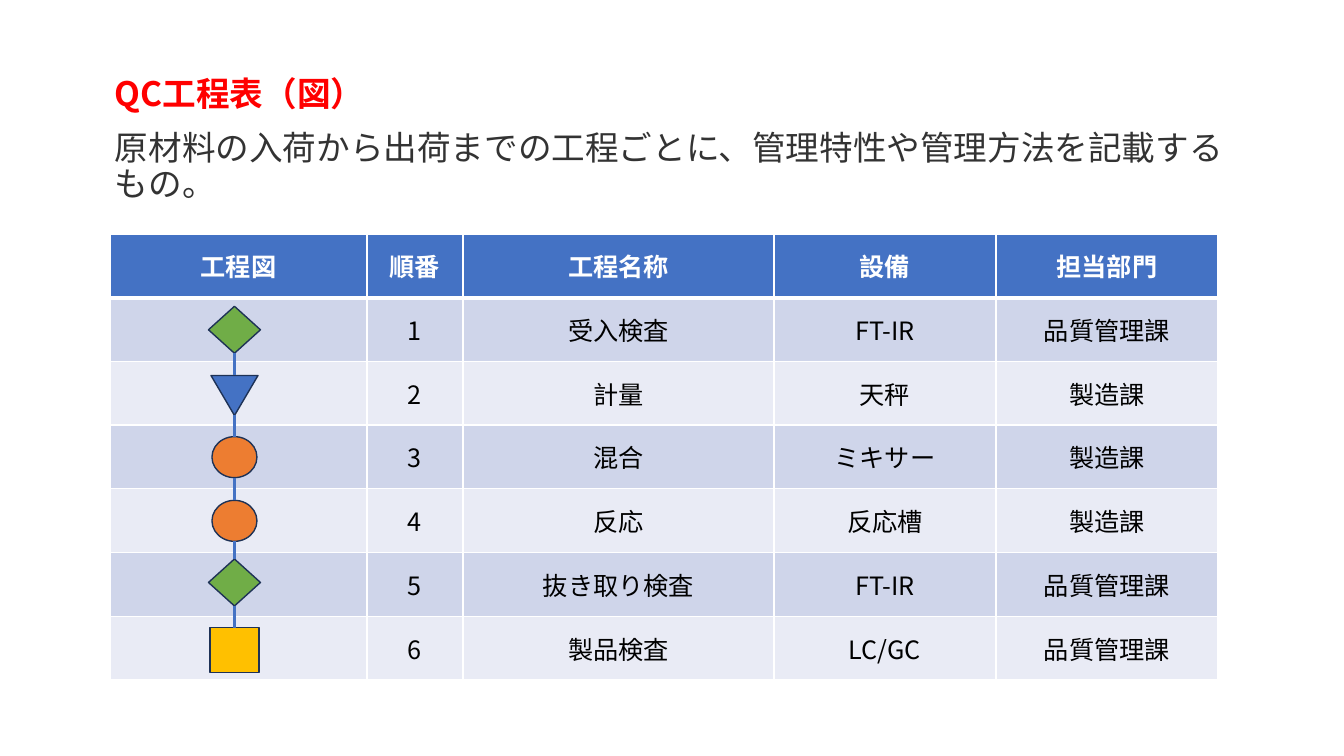
import itertools

import pptx
import pptx.dml.color
import pptx.enum.shapes
import pptx.enum.text
import pptx.oxml
import pptx.oxml.ns
import pptx.util

RGBColor = pptx.dml.color.RGBColor
SHAPE = pptx.enum.shapes.MSO_SHAPE
Pt = pptx.util.Pt

SLIDE_WIDTH, SLIDE_HEIGHT = 1344, 756
SCALE = pptx.util.Inches(1) / 100.8

RED = RGBColor(0xFF, 0x00, 0x00)
GRAY = RGBColor(0x33, 0x33, 0x33)
WHITE = RGBColor(0xFF, 0xFF, 0xFF)
BLACK = RGBColor(0x00, 0x00, 0x00)
BLUE = RGBColor(0x44, 0x72, 0xC4)
GREEN = RGBColor(0x70, 0xAD, 0x47)
ORANGE = RGBColor(0xED, 0x7D, 0x31)
YELLOW = RGBColor(0xFF, 0xC0, 0x00)
NAVY = RGBColor(0x1E, 0x32, 0x56)
BAND_DARK = RGBColor(0xCF, 0xD5, 0xEA)
BAND_LIGHT = RGBColor(0xE9, 0xEB, 0xF5)

JAPANESE_FONT = "Noto Sans CJK JP"
COLUMN_WIDTHS = [257, 96, 311, 222, 222]
HEADERS = ["工程図", "順番", "工程名称", "設備", "担当部門"]
PROCESSES = [
    ("受入検査", "FT-IR", "品質管理課"),
    ("計量", "天秤", "製造課"),
    ("混合", "ミキサー", "製造課"),
    ("反応", "反応槽", "製造課"),
    ("抜き取り検査", "FT-IR", "品質管理課"),
    ("製品検査", "LC/GC", "品質管理課"),
]
INSPECTION = (SHAPE.DIAMOND, GREEN, 52, 47, 0)
WEIGHING = (SHAPE.ISOSCELES_TRIANGLE, BLUE, 47, 40, 180)
OPERATION = (SHAPE.OVAL, ORANGE, 45, 41, 0)
FINAL_CHECK = (SHAPE.RECTANGLE, YELLOW, 49, 45, 0)
FLOW = [
    (INSPECTION, 0),
    (WEIGHING, 2),
    (OPERATION, 0),
    (OPERATION, 0),
    (INSPECTION, -2),
    (FINAL_CHECK, 2),
]


def px(length):
    """Turn a length in px into EMU."""
    return pptx.util.Emu(round(length * SCALE))


def add_run(para, text, size, color, bold=False, font=JAPANESE_FONT):
    """Add one styled run to a paragraph."""
    span = para.add_run()
    span.text = text
    span.font.size = Pt(size)
    span.font.bold = bold
    span.font.color.rgb = color
    span.font.name = font
    east_asian = pptx.oxml.parse_xml(
        f'<a:ea {pptx.oxml.ns.nsdecls("a")} typeface="{JAPANESE_FONT}"/>')
    span.font._element.append(east_asian)


def add_heading(page, left, top, width, height):
    """Place the title and its description."""
    box = page.shapes.add_textbox(px(left), px(top), px(width), px(height))
    frame = box.text_frame
    frame.word_wrap = True
    title = frame.paragraphs[0]
    title.line_spacing = 0.9
    add_run(title, "QC工程表（図）", 24, RED, bold=True)
    description = frame.add_paragraph()
    description.line_spacing = 0.9
    description.space_before = Pt(12)
    add_run(description,
            "原材料の入荷から出荷までの工程ごとに、管理特性や管理方法を記載するもの。",
            24, GRAY, font="Arial")


def set_borders(cell, top, bottom):
    """Give a cell white borders with the given top and bottom widths."""
    properties = cell._tc.get_or_add_tcPr()
    edges = [("lnL", 1), ("lnR", 1), ("lnT", top), ("lnB", bottom)]
    for position, (edge, width) in enumerate(edges):
        properties.insert(position, pptx.oxml.parse_xml(
            f'<a:{edge} {pptx.oxml.ns.nsdecls("a")} w="{Pt(width)}">'
            f'<a:solidFill><a:srgbClr val="{WHITE}"/></a:solidFill></a:{edge}>'))


def add_process_table(page, left, top, width, height):
    """Place the table of process steps."""
    rows = [HEADERS]
    for number, process in enumerate(PROCESSES, start=1):
        rows.append(["", str(number), *process])
    table = page.shapes.add_table(len(rows), len(HEADERS), px(left), px(top),
                                  px(width), px(height)).table
    for column, column_width in zip(table.columns, COLUMN_WIDTHS):
        column.width = px(column_width)
    for row_index, texts in enumerate(rows):
        is_header = row_index == 0
        band = BAND_DARK if row_index % 2 else BAND_LIGHT
        table.rows[row_index].height = px(height / len(rows))
        for column_index, text in enumerate(texts):
            cell = table.cell(row_index, column_index)
            cell.fill.solid()
            cell.fill.fore_color.rgb = BLUE if is_header else band
            cell.vertical_anchor = pptx.enum.text.MSO_ANCHOR.MIDDLE
            set_borders(cell, top=3 if row_index == 1 else 1,
                        bottom=3 if is_header else 1)
            if text:
                para = cell.text_frame.paragraphs[0]
                para.alignment = pptx.enum.text.PP_ALIGN.CENTER
                add_run(para, text, 18, WHITE if is_header else BLACK, is_header)


def add_symbol(page, symbol, center, middle):
    """Place one flow symbol and return its top and bottom."""
    kind, color, width, height, rotation = symbol
    top = middle - height / 2
    shape = page.shapes.add_shape(kind, px(center - width / 2), px(top),
                                  px(width), px(height))
    shape.rotation = rotation
    shape.shadow.inherit = False
    shape.fill.solid()
    shape.fill.fore_color.rgb = color
    shape.line.color.rgb = NAVY
    shape.line.width = Pt(1)
    return top, top + height


def add_flow(page, left, top, width, height):
    """Place the symbols down the box and join neighbours with lines."""
    center = left + width / 2 - 4
    step = height / len(FLOW)
    spans = [add_symbol(page, symbol, center, top + step * (index + 0.5) + nudge)
             for index, (symbol, nudge) in enumerate(FLOW)]
    for (_, start), (end, _) in itertools.pairwise(spans):
        link = page.shapes.add_connector(
            pptx.enum.shapes.MSO_CONNECTOR.STRAIGHT,
            px(center), px(start), px(center), px(end))
        link.line.color.rgb = BLUE
        link.line.width = Pt(2.25)
        link._element.spPr.append(pptx.oxml.parse_xml(
            f'<a:effectLst {pptx.oxml.ns.nsdecls("a")}/>'))


def main():
    """Build the slide and save it."""
    deck = pptx.Presentation()
    deck.slide_width = px(SLIDE_WIDTH)
    deck.slide_height = px(SLIDE_HEIGHT)
    page = deck.slides.add_slide(deck.slide_layouts[6])
    add_heading(page, 105, 73, 1135, 152)
    add_process_table(page, 110, 234, sum(COLUMN_WIDTHS), 446)
    add_flow(page, 110, 298, COLUMN_WIDTHS[0], 382)
    deck.save("out.pptx")


if __name__ == "__main__":
    main()
